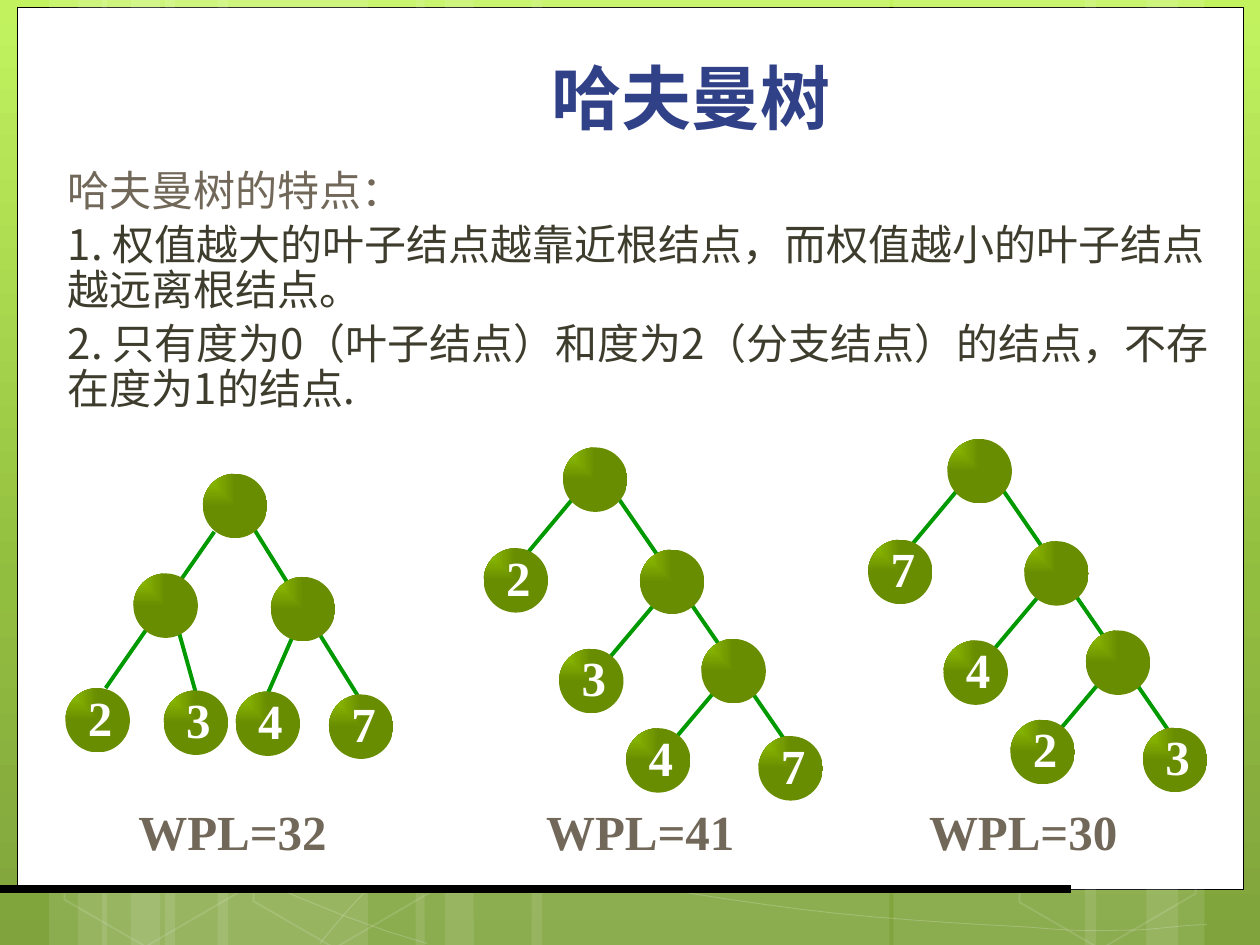
"""Build the slide on the properties of Huffman trees."""
from dataclasses import dataclass

import pptx
import pptx.dml.color
import pptx.enum.shapes
import pptx.enum.text
import pptx.oxml.ns
import pptx.util
from lxml import etree

Cm, Pt = pptx.util.Cm, pptx.util.Pt
KIND = pptx.enum.shapes.MSO_SHAPE
ALIGN = pptx.enum.text.PP_ALIGN
qn = pptx.oxml.ns.qn


@dataclass(frozen=True)
class Theme:
    sky: tuple = ((0, "C2F35F"), (62, "92BE3F"), (100, "80A33D"))
    white: str = "FFFFFF"
    black: str = "000000"
    blue: str = "314187"
    brown: str = "71685A"
    ink: str = "3E3D2D"
    edge: str = "009900"
    leaf: str = "94C600"
    sans: str = "Noto Sans CJK JP"
    serif: str = "Times New Roman"
    head: int = 40
    body: int = 24
    mark: int = 28


THEME = Theme()
WIDE, HIGH, NODE = 25.4, 19.05, 1.3

STRIPS = [
    (3.33, 4.09), (0.99, 1.17), (1.57, 1.96), (4.39, 4.17), (2.06, 1.17), (2.64, 1.96),
    (18.01, 4.09), (23.11, 1.17), (21.87, 1.88), (10.72, 7.21), (8.38, 1.17), (8.97, 1.96),
]
CURVES = [
    [(0.91, 15.67), (3.73, 17.07), (6.55, 18.47), (8.61, 19.02)],
    [(0.94, 14.68), (1.68, 14.96), (2.41, 15.24), (3.78, 15.65), (5.13, 16.03),
     (7.16, 16.66), (9.12, 17.09), (11.07, 17.53), (13.54, 17.98), (15.47, 18.24),
     (17.4, 18.52), (19.48, 18.62), (20.73, 18.69), (21.95, 18.8), (22.28, 18.75),
     (22.89, 18.75), (23.47, 18.72), (23.9, 18.64), (24.33, 18.64)],
    [(6.45, 19.02), (6.86, 18.52), (7.26, 18.01), (7.85, 17.55), (8.41, 17.07),
     (9.19, 16.6), (9.86, 16.23), (10.49, 15.88), (10.9, 15.72), (11.76, 15.47),
     (12.62, 15.21), (14.2, 14.86), (15.01, 14.68), (15.82, 14.5), (15.95, 14.5),
     (16.69, 14.45), (17.4, 14.38), (18.54, 14.3), (19.35, 14.27), (20.17, 14.25),
     (21.51, 14.27), (21.51, 14.27), (22.3, 14.27), (23.5, 14.27), (24.31, 14.38)],
]
HEXES = [(1.04, 15.01), (4.85, 15.04), (20.29, 15.06)]

FULL = {
    "edges": [(0.86, 0.84, 3.12, 4.47), (1.88, 3.12, 1.29, 4.47),
              (-0.56, 2.92, -0.15, 4.39), (0.23, 1.17, -1.96, 4.32)],
    "forks": [(0, 0), (-1.4, 2.01), (1.37, 2.08)],
    "leaves": [(-2.77, 4.32), (-0.79, 4.37), (0.66, 4.39), (2.54, 4.45)],
}
CHAIN = {
    "edges": [(0.3, 0.91, -0.76, 2.18), (1.98, 3, 0.91, 4.27),
              (3.2, 4.75, 2.13, 6.02), (0.74, 0.48, 4.5, 5.94)],
    "forks": [(0, 0), (1.55, 2.06), (2.79, 3.86)],
    "leaves": [(-1.6, 2.03), (-0.08, 4.06), (1.27, 5.66), (3.94, 5.82)],
}
TREES = [(4.09, 9.55, FULL, "2347"), (11.35, 9.02, CHAIN, "2347"), (19.1, 8.85, CHAIN, "7423")]

POINTS = [
    ("哈夫曼树的特点：", THEME.brown),
    ("1. 权值越大的叶子结点越靠近根结点，而权值越小的叶子结点越远离根结点。", THEME.ink),
    ("2. 只有度为0（叶子结点）和度为2（分支结点）的结点，不存在度为1的结点.", THEME.ink),
]


def rgb(code):
    return pptx.dml.color.RGBColor.from_string(code)


def fade(part, alpha):
    tint = part.find(qn("a:solidFill"))[0]
    etree.SubElement(tint, qn("a:alpha")).set("val", str(alpha * 1000))


def blend(grad, stops):
    for child in list(grad):
        grad.remove(child)
    rows = etree.SubElement(grad, qn("a:gsLst"))
    for place, code, *shade in stops:
        stop = etree.SubElement(rows, qn("a:gs"), pos=str(place * 1000))
        tint = etree.SubElement(stop, qn("a:srgbClr"), val=code)
        if shade:
            etree.SubElement(tint, qn("a:shade"), val=str(shade[0]))


def add_box(slide, kind, x, y, w, h, fill=None, line=None, width=0.5):
    box = slide.shapes.add_shape(kind, Cm(x), Cm(y), Cm(w), Cm(h))
    return paint(box, fill, line, width)


def paint(box, fill, line, width):
    box.shadow.inherit = False
    if fill:
        box.fill.solid()
        box.fill.fore_color.rgb = rgb(fill)
    else:
        box.fill.background()
    if line:
        box.line.color.rgb = rgb(line)
        box.line.width = Pt(width)
    else:
        box.line.fill.background()
    return box


def add_line(slide, x, y, to_x, to_y, code, width):
    line = slide.shapes.add_connector(
        pptx.enum.shapes.MSO_CONNECTOR.STRAIGHT, Cm(x), Cm(y), Cm(to_x), Cm(to_y))
    line.line.color.rgb = rgb(code)
    line.line.width = Pt(width)
    etree.SubElement(line.element.spPr, qn("a:effectLst"))


def add_curve(slide, knots, steps=8):
    dots = []
    for at in range(0, len(knots) - 1, 3):
        for step in range(1, steps + 1):
            t = step / steps
            rates = ((1 - t) ** 3, 3 * t * (1 - t) ** 2, 3 * t * t * (1 - t), t ** 3)
            dots.append(tuple(
                Cm(sum(r * k[axis] for r, k in zip(rates, knots[at:at + 4])))
                for axis in (0, 1)))
    pen = slide.shapes.build_freeform(Cm(knots[0][0]), Cm(knots[0][1]))
    pen.add_line_segments(dots, close=False)
    curve = paint(pen.convert_to_shape(), None, THEME.white, 0.5)
    fade(curve.element.spPr.find(qn("a:ln")), 20)


def add_text(slide, x, y, w, h, text, wrap=True):
    frame = slide.shapes.add_textbox(Cm(x), Cm(y), Cm(w), Cm(h)).text_frame
    frame.word_wrap = wrap
    frame.text = text
    return frame


def style(para, face, size, code, bold=False):
    for run in para.runs:
        font = run.font
        font.name, font.size, font.bold = face, Pt(size), bold
        font.color.rgb = rgb(code)
        east = etree.SubElement(run._r.get_or_add_rPr(), qn("a:ea"))
        east.set("typeface", THEME.sans)


def add_node(slide, x, y, label=""):
    ball = add_box(slide, KIND.OVAL, x, y, NODE, NODE)
    ball.fill.gradient()
    grad = ball.element.spPr.find(qn("a:gradFill"))
    blend(grad, [(0, THEME.leaf), (100, THEME.leaf, 46275)])
    glow = etree.SubElement(grad, qn("a:path"), {"path": "rect"})
    etree.SubElement(glow, qn("a:fillToRect"), r="100000", b="100000")
    if label:
        frame = add_text(slide, x + 0.19, y - 0.15, 1.02, 1.45, label, wrap=False)
        frame.vertical_anchor = pptx.enum.text.MSO_ANCHOR.MIDDLE
        para = frame.paragraphs[0]
        para.alignment = ALIGN.CENTER
        style(para, THEME.serif, THEME.mark, THEME.white, True)


def add_tree(slide, x, y, plan, labels):
    for left, top, right, low in plan["edges"]:
        add_line(slide, x + left, y + top, x + right, y + low, THEME.edge, 2.25)
    for dx, dy in plan["forks"]:
        add_node(slide, x + dx, y + dy)
    for (dx, dy), label in zip(plan["leaves"], labels):
        add_node(slide, x + dx, y + dy, label)


def add_scene(slide):
    slide.background.fill.gradient()
    grad = slide.element.find(".//" + qn("a:gradFill"))
    blend(grad, THEME.sky)
    etree.SubElement(grad, qn("a:lin"), ang="5400000")
    add_box(slide, KIND.RECTANGLE, 0.36, 0.15, 24.71, 17.78, THEME.white, THEME.black)
    for x, w in STRIPS:
        strip = add_box(slide, KIND.RECTANGLE, x, 0, w, HIGH, THEME.white)
        fade(strip.element.spPr, 10)
    for knots in CURVES:
        add_curve(slide, knots)
    for x, y in HEXES:
        cell = add_box(slide, KIND.HEXAGON, x, y, 4.09, 3.86, None, THEME.white, 1)
        cell.adjustments[0] = 0.285
        cell.rotation = 30
        fade(cell.element.spPr.find(qn("a:ln")), 12)
    add_line(slide, 0, 17.93, 21.59, 17.93, THEME.black, 4.5)


def add_words(slide):
    frame = add_text(slide, 1.12, 3.3, 23.52, 6.02, "\n".join(text for text, _ in POINTS))
    for rank, (para, (_, code)) in enumerate(zip(frame.paragraphs, POINTS)):
        para.line_spacing = 0.9
        para.space_before = Pt(5 if rank else 0)
        style(para, THEME.sans, THEME.body, code)
    title = add_text(slide, 4.14, 0.97, 19.58, 1.96, "哈夫曼树").paragraphs[0]
    title.alignment = ALIGN.CENTER
    style(title, THEME.serif, THEME.head, THEME.blue, True)


def add_costs(slide):
    para = add_text(slide, 2.54, 16.03, 22.8, 1.45, "WPL=32\tWPL=41\tWPL=30").paragraphs[0]
    tabs = etree.SubElement(para._p.get_or_add_pPr(), qn("a:tabLst"))
    for stop in (8.22, 15.94):
        etree.SubElement(tabs, qn("a:tab"), pos=str(Cm(stop)), algn="l")
    style(para, THEME.serif, THEME.mark, THEME.brown, True)


def main():
    deck = pptx.Presentation()
    deck.slide_width, deck.slide_height = Cm(WIDE), Cm(HIGH)
    slide = deck.slides.add_slide(deck.slide_layouts[6])
    add_scene(slide)
    add_words(slide)
    for tree in TREES:
        add_tree(slide, *tree)
    add_costs(slide)
    deck.save("out.pptx")


if __name__ == "__main__":
    main()
